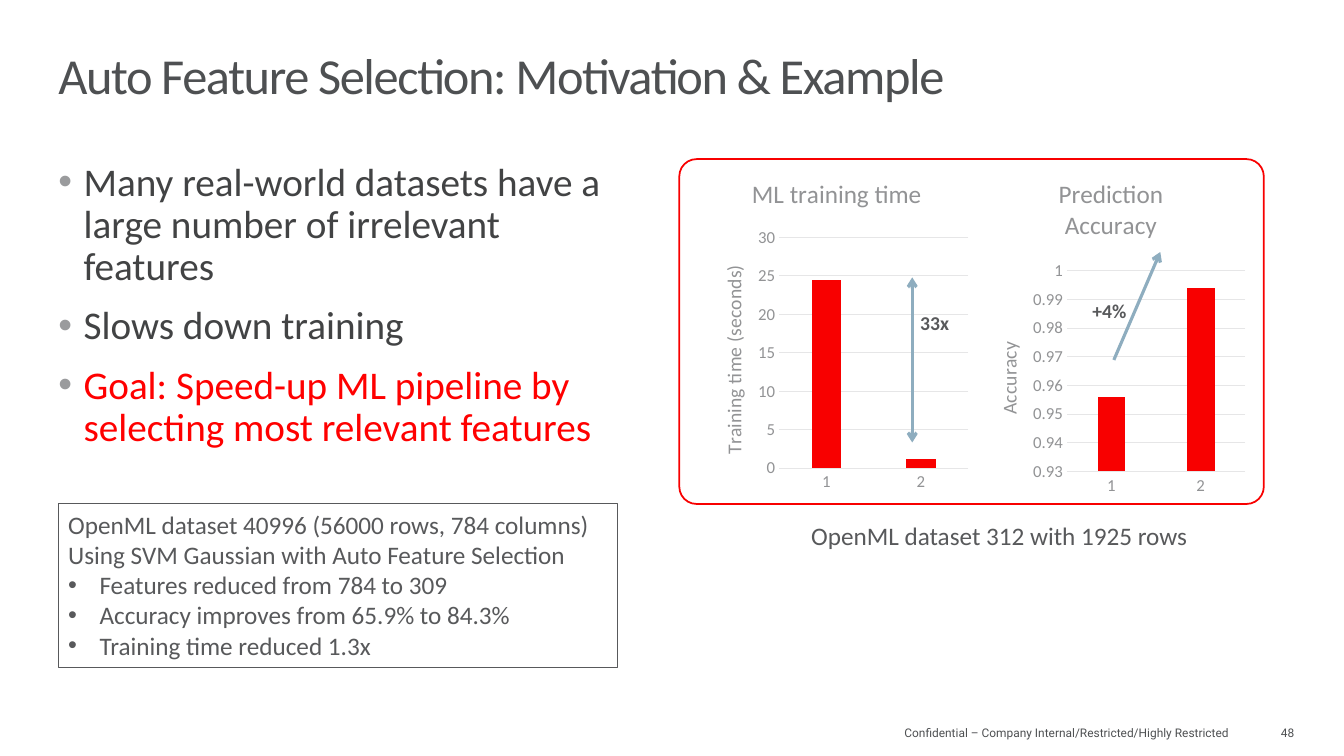
from lxml import etree
from pptx import Presentation
from pptx import util as u
from pptx.chart.data import CategoryChartData
from pptx.dml.color import RGBColor
from pptx.enum import chart as ch
from pptx.enum import shapes, text
from pptx.oxml import parse_xml
from pptx.oxml.ns import nsdecls, qn

TITLE_GREY = RGBColor(0x4E, 0x50, 0x52)
BODY_GREY = RGBColor(0x42, 0x43, 0x44)
TEXT_GREY = RGBColor(0x58, 0x59, 0x5B)
AXIS_GREY = RGBColor(0x92, 0x93, 0x95)
GRID_GREY = RGBColor(0xE6, 0xE6, 0xE7)
GOAL_RED = RGBColor(0xFF, 0x00, 0x00)
BAR_RED = RGBColor(0xF8, 0x00, 0x00)
ARROW_BLUE = RGBColor(0x8E, 0xAD, 0xBF)
LEFT, CENTER, RIGHT = text.PP_ALIGN.LEFT, text.PP_ALIGN.CENTER, text.PP_ALIGN.RIGHT
TOP, MIDDLE, BOTTOM = text.MSO_ANCHOR.TOP, text.MSO_ANCHOR.MIDDLE, text.MSO_ANCHOR.BOTTOM


def add_text(box, lines, size, color, font="Calibri", align=LEFT, anchor=TOP,
             spacing=1.0, wrap=True, bold=False, inset=0):
    frame = box.text_frame
    frame.word_wrap = wrap
    frame.vertical_anchor = anchor
    frame.margin_left = frame.margin_right = u.Cm(inset)
    frame.margin_top = frame.margin_bottom = u.Cm(inset / 2)
    frame.text = "\n".join(lines)
    for line in frame.paragraphs:
        line.alignment, line.line_spacing = align, spacing
        line.font.size, line.font.name, line.font.bold = u.Pt(size), font, bold
        line.font.color.rgb = color
    return frame.paragraphs


def add_bullet(line, indent, color):
    props = line._p.get_or_add_pPr()
    props.set("marL", str(u.Cm(indent)))
    props.set("indent", str(-u.Cm(indent)))
    for xml in (f'<a:buClr {nsdecls("a")}><a:srgbClr val="{color}"/></a:buClr>',
                f'<a:buFont {nsdecls("a")} typeface="Arial"/>',
                f'<a:buChar {nsdecls("a")} char="•"/>'):
        props.insert_element_before(parse_xml(xml), "a:tabLst", "a:defRPr", "a:extLst")


deck = Presentation()
deck.slide_width, deck.slide_height = u.Cm(33.87), u.Cm(19.05)
slide = deck.slides.add_slide(deck.slide_layouts[6])
items = slide.shapes

# Title
title = items.add_textbox(u.Cm(1.47), u.Cm(1.12), u.Cm(30.91), u.Cm(1.5))
heading, = add_text(title, ["Auto Feature Selection: Motivation & Example"], 36,
                    TITLE_GREY, anchor=BOTTOM, spacing=0.8)
heading.runs[0].font._element.set("spc", "-100")

# Footer
footer = items.add_textbox(u.Cm(8.36), u.Cm(18.21), u.Cm(22.86), u.Cm(0.51))
add_text(footer, ["Confidential – Company Internal/Restricted/Highly Restricted"], 8.5,
         TITLE_GREY, "Roboto", RIGHT, MIDDLE, inset=0.25)
number = items.add_textbox(u.Cm(31.32), u.Cm(18.21), u.Cm(1.3), u.Cm(0.51))
add_text(number, ["48"], 8.5, TITLE_GREY, "Roboto", RIGHT, MIDDLE)

# Motivation bullets
motivation = items.add_textbox(u.Cm(1.47), u.Cm(4.09), u.Cm(14.35), u.Cm(12.55))
points = add_text(motivation, [
    "Many real-world datasets have a large number of irrelevant features",
    "Slows down training",
    "Goal: Speed-up ML pipeline by selecting most relevant features",
], 28, BODY_GREY, spacing=0.9)
for point in points:
    add_bullet(point, 0.64, "9A9B9D")
for point in points[1:]:
    point.space_before = u.Pt(12)
points[-1].font.color.rgb = GOAL_RED

# Frame around the charts
panel = items.add_shape(shapes.MSO_SHAPE.ROUNDED_RECTANGLE,
                        u.Cm(17.12), u.Cm(4.01), u.Cm(14.73), u.Cm(8.69))
panel.adjustments[0] = 0.05
panel.shadow.inherit = False
panel.fill.background()
panel.line.color.rgb, panel.line.width = BAR_RED, u.Pt(1.25)

# Charts: title, axis title, values, axis range and step, number format, left, top, plot area
charts = [
    ("ML training time", "Training time (seconds)", (24.5, 1.2), (0, 30, 5), "0",
     17.63, 4.01, (0.29, 0.23, 0.69, 0.68)),
    ("Prediction\nAccuracy", "Accuracy", (0.956, 0.994), (0.93, 1, 0.01), "General",
     24.54, 4.09, (0.34, 0.32, 0.65, 0.59)),
]
for name, measure, values, (low, high, step), digits, left, top, area in charts:
    data = CategoryChartData()
    data.categories = ["1", "2"]
    data.add_series("Series 1", values)
    chart = items.add_chart(ch.XL_CHART_TYPE.COLUMN_CLUSTERED, u.Cm(left), u.Cm(top),
                            u.Cm(6.91), u.Cm(8.56), data).chart
    chart.has_legend = False
    chart.font.size, chart.font.name = u.Pt(10), "Calibri"
    chart.font.color.rgb = TEXT_GREY

    plot = chart.plots[0]
    plot.gap_width, plot.overlap, plot.vary_by_categories = 219, -27, False
    bars = plot.series[0].format.fill
    bars.solid()
    bars.fore_color.rgb = BAR_RED

    scale = chart.value_axis
    scale.minimum_scale, scale.maximum_scale, scale.major_unit = low, high, step
    scale.tick_labels.number_format = digits
    scale.tick_labels.number_format_is_linked = False
    scale.format.line.fill.background()
    for axis in (chart.category_axis, scale):
        axis.major_tick_mark = axis.minor_tick_mark = ch.XL_TICK_MARK.NONE
        labels = axis.tick_labels.font
        labels.size, labels.name, labels.color.rgb = u.Pt(12), "Calibri", AXIS_GREY
    for line in (chart.category_axis.format.line, scale.major_gridlines.format.line):
        line.color.rgb, line.width = GRID_GREY, u.Pt(0.75)

    for owner, words, size in ((chart, name, 18), (scale, measure, 14)):
        owner.has_title = True
        label = (chart.chart_title if owner is chart else scale.axis_title).text_frame
        label.text = words
        for part in label.paragraphs:
            part.font.size, part.font.name, part.font.bold = u.Pt(size), "Calibri", False
            part.font.color.rgb = AXIS_GREY

    plot_area = chart._chartSpace.chart.plotArea
    for old in plot_area.findall(qn("c:layout")):
        plot_area.remove(old)
    x, y, w, h = area
    plot_area.insert(0, parse_xml(
        f'<c:layout {nsdecls("c")}><c:manualLayout><c:layoutTarget val="inner"/>'
        f'<c:xMode val="edge"/><c:yMode val="edge"/><c:x val="{x}"/><c:y val="{y}"/>'
        f'<c:w val="{w}"/><c:h val="{h}"/></c:manualLayout></c:layout>'))

# Arrows and gains
gains = [
    ((22.99, 6.99, 22.99, 11.15), ("headEnd", "tailEnd"), "33x", (23.19, 7.9, 0.91, 0.69)),
    ((28.07, 9.07, 29.24, 6.35), ("tailEnd",), "+4%", (27.53, 7.59, 1.68, 0.84)),
]
for ends, heads, gain, place in gains:
    arrow = items.add_connector(shapes.MSO_CONNECTOR.STRAIGHT, *map(u.Cm, ends))
    arrow.line.color.rgb, arrow.line.width = ARROW_BLUE, u.Pt(2.25)
    for head in heads:
        etree.SubElement(arrow.line._get_or_add_ln(), qn(f"a:{head}")).set("type", "arrow")
    etree.SubElement(arrow._element.spPr, qn("a:effectLst"))
    add_text(items.add_textbox(*map(u.Cm, place)), [gain], 14, TEXT_GREY,
             spacing=0.9, wrap=False, bold=True)

# Chart caption
caption = items.add_textbox(u.Cm(20.32), u.Cm(13.21), u.Cm(9.73), u.Cm(0.79))
add_text(caption, ["OpenML dataset 312 with 1925 rows"], 18, TEXT_GREY,
         align=CENTER, spacing=0.9, wrap=False)

# Example box
example = items.add_shape(shapes.MSO_SHAPE.RECTANGLE,
                          u.Cm(1.47), u.Cm(12.7), u.Cm(14.1), u.Cm(4.11))
example.shadow.inherit = False
example.fill.background()
example.line.color.rgb, example.line.width = TEXT_GREY, u.Pt(0.75)
results = add_text(example, [
    "OpenML dataset 40996 (56000 rows, 784 columns)",
    "Using SVM Gaussian with Auto Feature Selection",
    "Features reduced from 784 to 309",
    "Accuracy improves from 65.9% to 84.3%",
    "Training time reduced 1.3x",
], 18, TEXT_GREY, inset=0.25)
for result in results[2:]:
    add_bullet(result, 0.79, TEXT_GREY)

deck.save("out.pptx")
